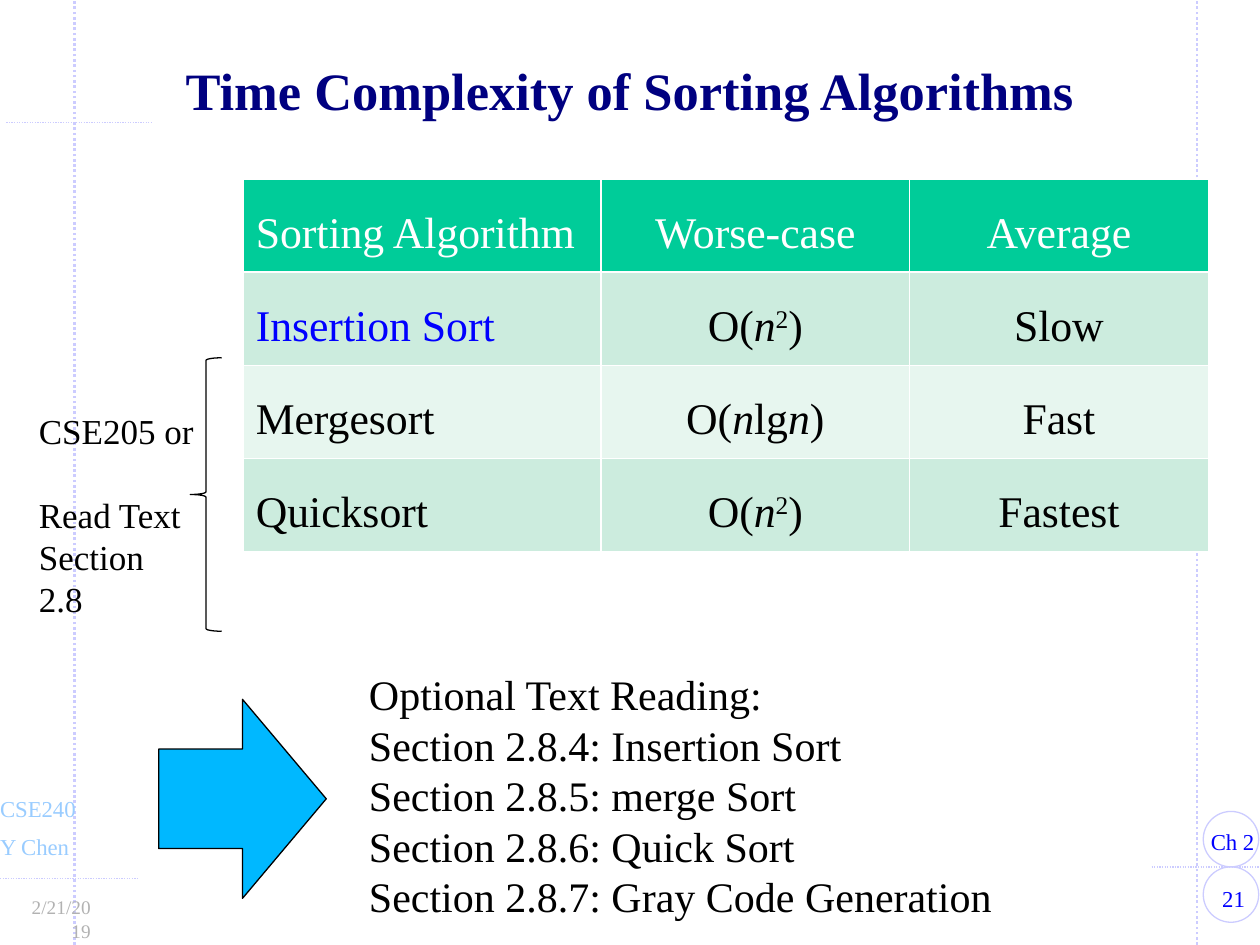
from lxml.etree import SubElement
from pptx import Presentation
from pptx.dml.color import RGBColor
from pptx.enum.dml import MSO_LINE_DASH_STYLE as Dash
from pptx.enum.shapes import MSO_CONNECTOR as Connector, MSO_SHAPE as Shape
from pptx.enum.text import MSO_ANCHOR as Anchor, MSO_AUTO_SIZE as AutoSize, PP_ALIGN as Align
from pptx.oxml.ns import qn
from pptx.util import Inches, Pt

BLACK = RGBColor(0x00, 0x00, 0x00)
WHITE = RGBColor(0xFF, 0xFF, 0xFF)
NAVY = RGBColor(0x00, 0x00, 0x80)
BLUE = RGBColor(0x00, 0x00, 0xFF)
SKY = RGBColor(0x00, 0xB8, 0xFF)
PALE_BLUE = RGBColor(0x99, 0xCC, 0xFF)
LAVENDER = RGBColor(0xCC, 0xCC, 0xFF)
GRAY = RGBColor(0xB2, 0xB2, 0xB2)
GREEN = RGBColor(0x00, 0xCC, 0x99)
MINT = RGBColor(0xCC, 0xEC, 0xDE)
PALE_MINT = RGBColor(0xE7, 0xF6, 0xEF)


class SlideBuilder:
    font_name = "Times New Roman"

    def __init__(self, slide):
        self.slide = slide
        self.shapes = slide.shapes

    def style(self, paragraph, size, color, align=Align.LEFT, bold=False):
        paragraph.alignment = align
        font = paragraph.font
        font.name, font.size, font.bold = self.font_name, Pt(size), bold
        font.color.rgb = color

    def title(self, text, box):
        title = self.shapes.title
        title.left, title.top, title.width, title.height = map(Inches, box)
        frame = title.text_frame
        frame.text = text
        frame.auto_size = AutoSize.NONE
        frame.vertical_anchor = Anchor.MIDDLE
        heading = frame.paragraphs[0]
        heading.line_spacing = 0.85
        self.style(heading, 30, NAVY, Align.CENTER, bold=True)

    def text(self, lines, box, size, color, align=Align.LEFT, wrap=True, inset=0.1, gap=0):
        frame = self.shapes.add_textbox(*map(Inches, box)).text_frame
        frame.word_wrap = wrap
        frame.margin_left = frame.margin_right = Inches(inset)
        for index, line in enumerate(lines):
            paragraph = frame.add_paragraph() if index else frame.paragraphs[0]
            paragraph.text = line
            if index and gap:
                paragraph.space_before = Pt(gap)
            self.style(paragraph, size, color, align)

    def shape(self, kind, box, line, fill=None):
        shape = self.shapes.add_shape(kind, *map(Inches, box))
        shape.shadow.inherit = False
        if fill is None:
            shape.fill.background()
        else:
            shape.fill.solid()
            shape.fill.fore_color.rgb = fill
        shape.line.color.rgb = line
        shape.line.width = Pt(0.75)

    def dotted_line(self, start, end, width):
        rule = self.shapes.add_connector(Connector.STRAIGHT, *map(Inches, start + end))
        rule.line.color.rgb = LAVENDER
        rule.line.width = Pt(width)
        rule.line.dash_style = Dash.ROUND_DOT
        SubElement(rule._element.spPr, qn("a:effectLst"))

    def cell(self, cell, runs, fill, color, align):
        properties = cell._tc.get_or_add_tcPr()
        for side in ("a:lnL", "a:lnR", "a:lnT", "a:lnB"):
            border = SubElement(properties, qn(side), w=str(Pt(1)))
            SubElement(SubElement(border, qn("a:solidFill")), qn("a:srgbClr"), val=str(WHITE))
        cell.fill.solid()
        cell.fill.fore_color.rgb = fill
        paragraph = cell.text_frame.paragraphs[0]
        paragraph.line_spacing = 1.5
        self.style(paragraph, 25, color, align)
        for text, kind in runs:
            run = paragraph.add_run()
            run.text = text
            if kind == "italic":
                run.font.italic = True
            elif kind == "super":
                run.font._element.set("baseline", "30000")

    def table(self, rows, left, top, widths, row_height, fills, colors):
        box = left, top, sum(widths), row_height * len(rows)
        table = self.shapes.add_table(len(rows), len(widths), *map(Inches, box)).table
        for column, width in zip(table.columns, widths):
            column.width = Inches(width)
        for r, row in enumerate(rows):
            table.rows[r].height = Inches(row_height)
            for c, content in enumerate(row):
                runs = [(content, None)] if isinstance(content, str) else content
                self.cell(table.cell(r, c), runs, fills[r], colors.get((r, c), BLACK),
                          Align.CENTER if c else Align.LEFT)


def main():
    deck = Presentation()
    deck.slide_width, deck.slide_height = Inches(10), Inches(7.5)
    page = SlideBuilder(deck.slides.add_slide(deck.slide_layouts[5]))

    # Dotted frame lines and page circles
    for x in (0.59, 9.5):
        page.dotted_line((x, 7.5), (x, 0), 1.5)
    for left, right, y in ((-0.06, 1.09, 6.97), (9.14, 10.05, 6.88), (0.05, 1.2, 0.97)):
        page.dotted_line((left, y), (right, y), 0.75)
    for y in (6.88, 6.44):
        page.shape(Shape.OVAL, (9.55, y, 0.44, 0.44), LAVENDER)

    # Course, author, date, chapter and page number
    page.text(["21"], (9.5, 6.97, 0.58, 0.32), 13, BLUE, Align.CENTER, inset=0.11)
    page.text(["Ch 2"], (9.5, 6.52, 0.64, 0.32), 13, BLUE, inset=0.11)
    page.text(["CSE240"], (-0.11, 6.26, 0.88, 0.32), 13, PALE_BLUE, inset=0.11)
    page.text(["Y Chen"], (-0.11, 6.56, 0.88, 0.32), 13, PALE_BLUE, inset=0.11)
    page.text(["2/21/2019"], (0.08, 7.06, 0.75, 0.29), 11, GRAY, Align.RIGHT, inset=0.11)

    page.title("Time Complexity of Sorting Algorithms", (0.73, 0.44, 8.54, 0.62))

    # Complexity table
    n = ("n", "italic")
    quadratic = [("O(", None), n, ("2", "super"), (")", None)]
    linearithmic = [("O(", None), n, ("lg", None), n, (")", None)]
    page.table(
        [
            ["Sorting Algorithm", "Worse-case", "Average"],
            ["Insertion Sort", quadratic, "Slow"],
            ["Mergesort", linearithmic, "Fast"],
            ["Quicksort", quadratic, "Fastest"],
        ],
        1.93, 1.42, (2.84, 2.45, 2.37), 0.74,
        fills=(GREEN, MINT, PALE_MINT, MINT),
        colors={(0, 0): WHITE, (0, 1): WHITE, (0, 2): WHITE, (1, 0): BLUE},
    )

    # Bracketed reading note
    page.shape(Shape.LEFT_BRACE, (1.51, 2.84, 0.25, 2.17), BLACK, WHITE)
    page.text(["CSE205 or", "Read Text Section 2.8"], (0.21, 3.2, 1.43, 1.45), 20, BLACK, gap=24)

    # Optional reading
    page.text(
        [
            "Optional Text Reading:",
            "Section 2.8.4: Insertion Sort",
            "Section 2.8.5: merge Sort",
            "Section 2.8.6: Quick Sort",
            "Section 2.8.7: Gray Code Generation",
        ],
        (2.83, 5.26, 5.19, 2.12), 24, BLACK, wrap=False,
    )
    page.shape(Shape.RIGHT_ARROW, (1.26, 5.55, 1.33, 1.58), BLACK, SKY)

    deck.save("out.pptx")


if __name__ == "__main__":
    main()
